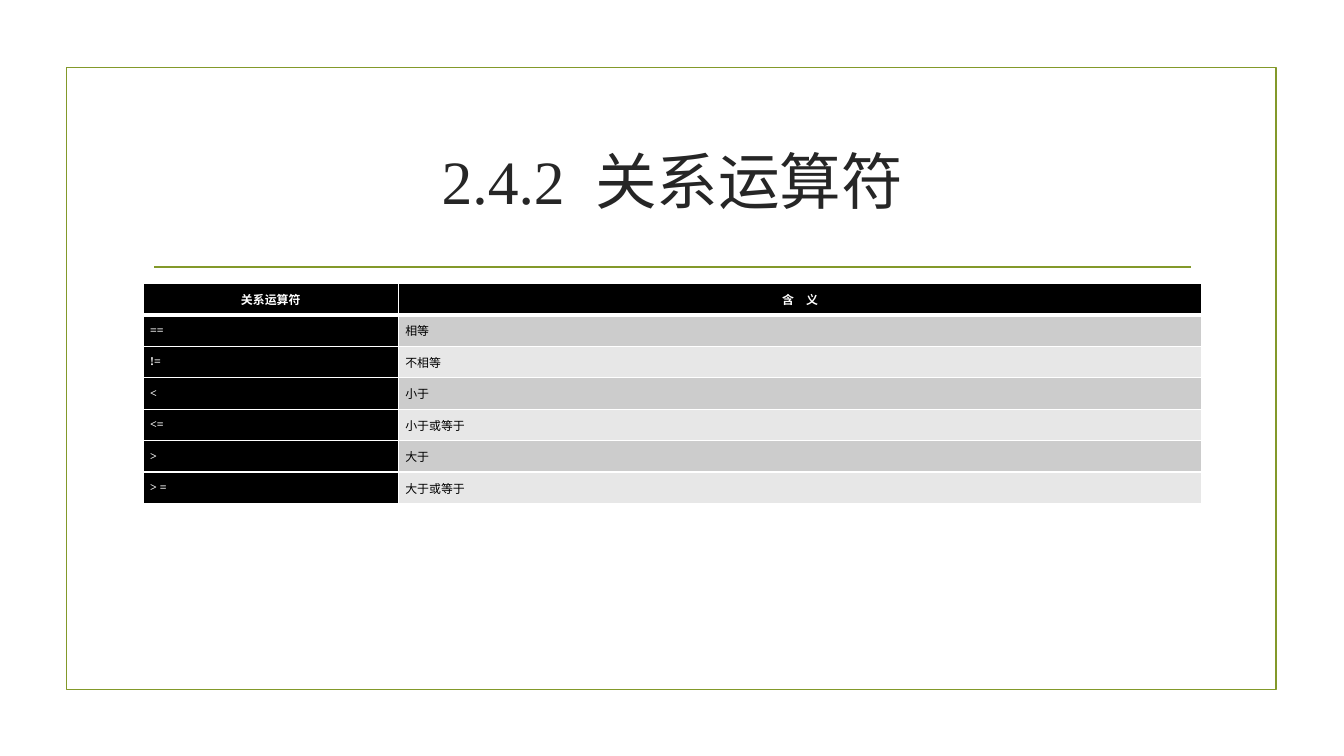
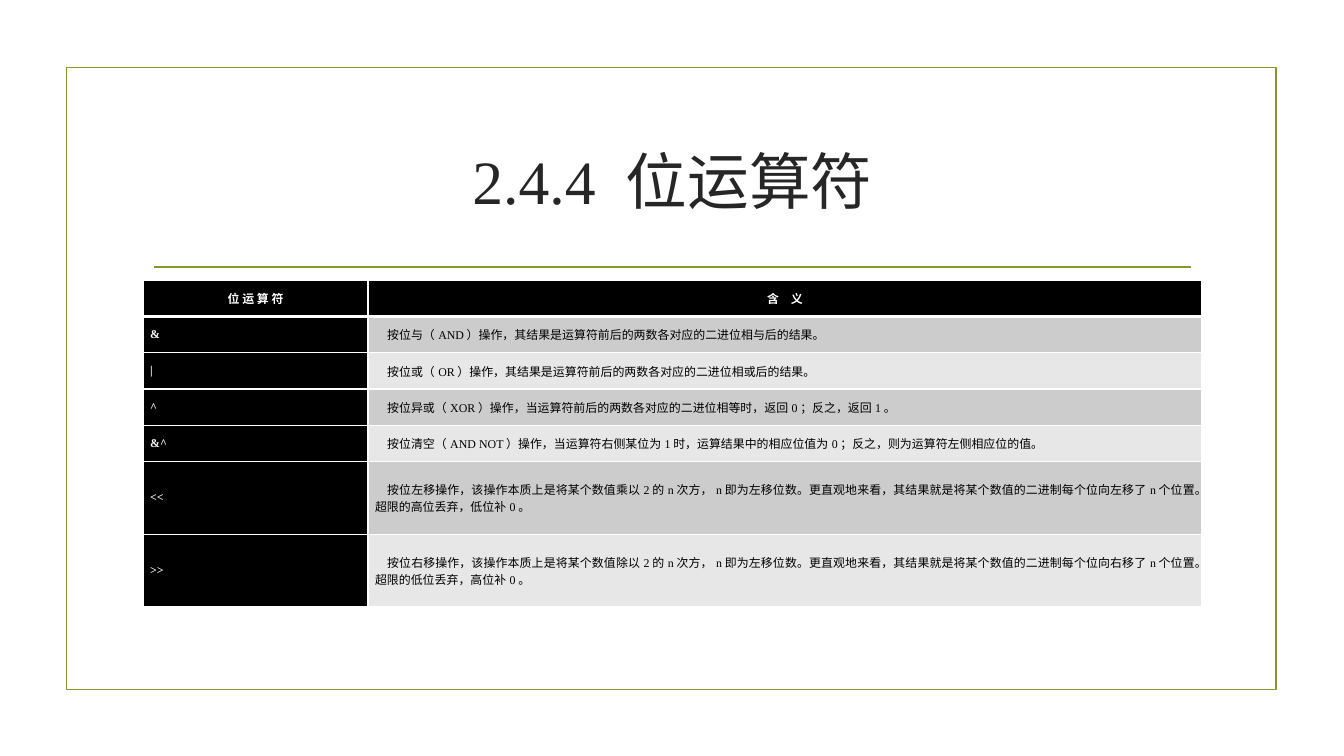
from dataclasses import dataclass

from lxml import etree
from pptx import Presentation
from pptx.dml.color import RGBColor
from pptx.enum import shapes as sh, text as tx
from pptx.oxml.ns import qn
from pptx.util import Inches, Pt

OLIVE = RGBColor(0x83, 0x99, 0x2A)
INK = RGBColor(0x26, 0x26, 0x26)
BLACK = RGBColor(0, 0, 0)
WHITE = RGBColor(255, 255, 255)
BANDS = RGBColor(0xCC, 0xCC, 0xCC), RGBColor(0xE7, 0xE7, 0xE7)

FACE = "Times New Roman"
LEFT, WIDTH = 1.42, 10.5
MID = tx.MSO_ANCHOR.MIDDLE
CENTER, JUST = tx.PP_ALIGN.CENTER, tx.PP_ALIGN.JUSTIFY

HEAD = {"size": Pt(8.5), "name": FACE, "bold": True}
BODY = {**HEAD, "bold": False}
TITLE = {"size": Pt(44), "name": FACE, "bold": False}
INSET = {"margin_left": Inches(0.07), "margin_right": Inches(0.07),
         "margin_top": 0, "margin_bottom": 0, "vertical_anchor": MID}


@dataclass
class Row:
    sign: str
    note: str
    units: int = 1  # height in row units


@dataclass
class Page:
    title: str
    top: float
    unit: float  # height of one row unit
    first: float  # width of the first column
    indent: float
    rows: list[Row]


PAGES = [
    Page("2.4.2 关系运算符", 2.81, 0.3125, 2.53, 0, [
        Row("关系运算符", "含　义"),
        Row("==", "相等"),
        Row("!=", "不相等"),
        Row("<", "小于"),
        Row("<=", "小于或等于"),
        Row(">", "大于"),
        Row("> =", "大于或等于"),
    ]),
    Page("2.4.4 位运算符", 2.78, 0.36, 2.23, 0.12, [
        Row("位 运 算 符", "含　义"),
        Row("&", "按位与（AND）操作，其结果是运算符前后的两数各对应的二进位相与后的结果。"),
        Row("|", "按位或（OR）操作，其结果是运算符前后的两数各对应的二进位相或后的结果。"),
        Row("^", "按位异或（XOR）操作，当运算符前后的两数各对应的二进位相等时，"
                 "返回0；反之，返回1。"),
        Row("&^", "按位清空（AND NOT）操作，当运算符右侧某位为1时，"
                  "运算结果中的相应位值为0；反之，则为运算符左侧相应位的值。"),
        Row("<<", "按位左移操作，该操作本质上是将某个数值乘以2的n次方，"
                  "n即为左移位数。更直观地来看，其结果就是将某个数值的二进制"
                  "每个位向左移了n个位置。超限的高位丢弃，低位补0。", 2),
        Row(">>", "按位右移操作，该操作本质上是将某个数值除以2的n次方，"
                  "n即为左移位数。更直观地来看，其结果就是将某个数值的二进制"
                  "每个位向右移了n个位置。超限的低位丢弃，高位补0。", 2),
    ]),
]


def apply(obj, vals: dict) -> None:
    for key, val in vals.items():
        setattr(obj, key, val)


def write(para, words: str, style: dict, color: RGBColor, align) -> None:
    para.alignment = align
    run = para.add_run()
    run.text = words
    apply(run.font, style)
    run.font.color.rgb = color


def border(cell, widths: dict[str, float]) -> None:
    """Put white edges ahead of the cell's fill."""
    props = cell._tc.get_or_add_tcPr()
    for spot, (side, width) in enumerate(widths.items()):
        edge = etree.Element(qn(f"a:ln{side}"), w=str(Pt(width)))
        fill = etree.SubElement(edge, qn("a:solidFill"))
        etree.SubElement(fill, qn("a:srgbClr"), val=str(WHITE))
        props.insert(spot, edge)


def add_frame(slide) -> None:
    # Outer frame
    box = slide.shapes.add_shape(sh.MSO_SHAPE.RECTANGLE, Inches(0.66),
                                 Inches(0.67), Inches(12), Inches(6.17))
    box.shadow.inherit = False
    box.fill.background()
    # Rule under the title
    rule = slide.shapes.add_connector(sh.MSO_CONNECTOR.STRAIGHT, Inches(1.53),
                                      Inches(2.65), Inches(11.81), Inches(2.65))
    etree.SubElement(rule._element.spPr, qn("a:effectLst"))
    for item in (box, rule):
        item.line.color.rgb = OLIVE
        item.line.width = Pt(1.25)


def add_title(slide, words: str) -> None:
    title = slide.shapes.title
    apply(title, {"left": Inches(LEFT), "top": Inches(1.07),
                  "width": Inches(WIDTH), "height": Inches(1.43)})
    apply(title.text_frame, {"vertical_anchor": MID, "word_wrap": True,
                             "auto_size": tx.MSO_AUTO_SIZE.NONE})
    write(title.text_frame.paragraphs[0], words, TITLE, INK, CENTER)


def add_grid(slide, page: Page) -> None:
    total = page.unit * sum(row.units for row in page.rows)
    grid = slide.shapes.add_table(len(page.rows), 2, Inches(LEFT),
                                  Inches(page.top), Inches(WIDTH),
                                  Inches(total)).table
    for col, width in zip(grid.columns, (page.first, WIDTH - page.first)):
        col.width = Inches(width)
    for r, row in enumerate(page.rows):
        grid.rows[r].height = Inches(page.unit * row.units)
        for c, words in enumerate((row.sign, row.note)):
            cell = grid.cell(r, c)
            dark = r == 0 or c == 0
            apply(cell, INSET)
            cell.fill.solid()
            cell.fill.fore_color.rgb = BLACK if dark else BANDS[(r - 1) % 2]
            border(cell, {"L": 1, "R": 1, "T": 3 if r == 1 else 1,
                          "B": 3 if r == 0 else 1})
            para = cell.text_frame.paragraphs[0]
            write(para, words, HEAD if dark else BODY,
                  WHITE if dark else BLACK, JUST if r else CENTER)
            if not dark and page.indent:
                para._p.get_or_add_pPr().set("indent", str(Inches(page.indent)))


def main() -> None:
    deck = Presentation()
    apply(deck, {"slide_width": Inches(13.33), "slide_height": Inches(7.5)})
    for page in PAGES:
        slide = deck.slides.add_slide(deck.slide_layouts[5])
        add_frame(slide)
        add_title(slide, page.title)
        add_grid(slide, page)
    deck.save("out.pptx")


if __name__ == "__main__":
    main()
